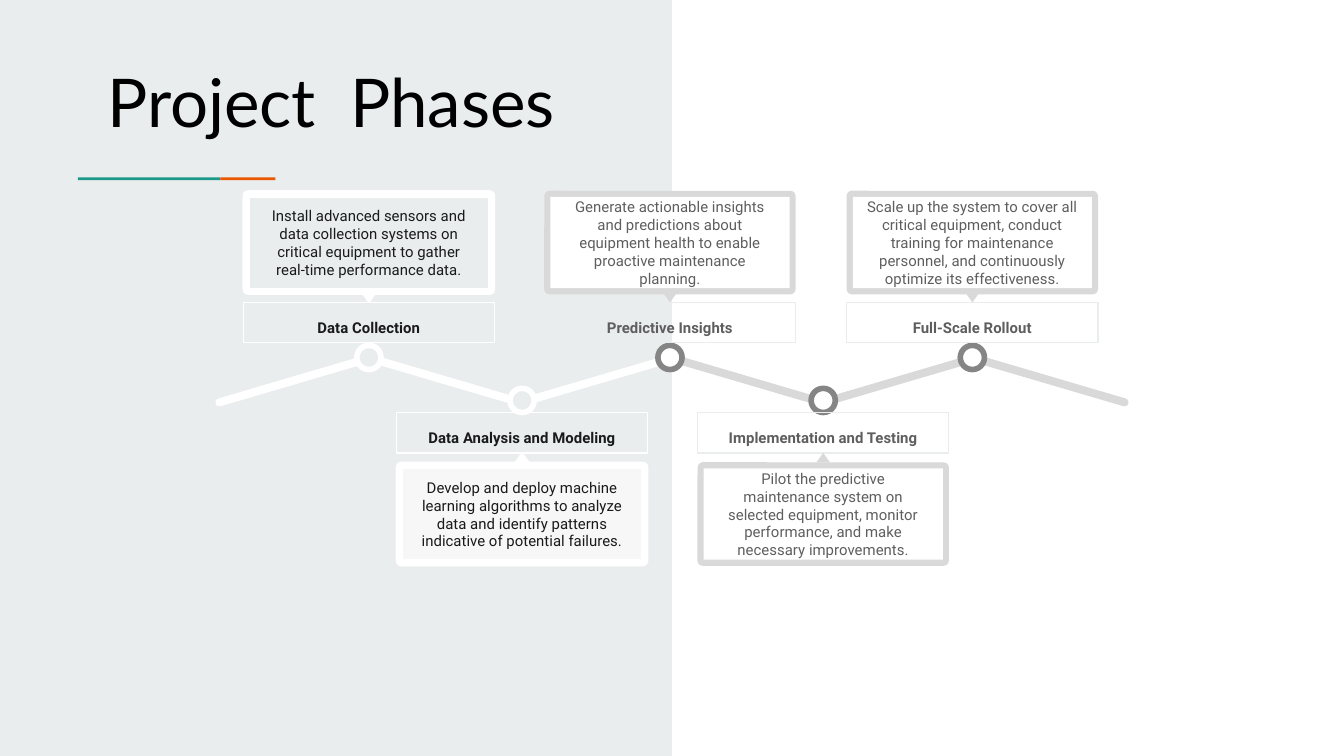
from pptx import Presentation
from pptx.dml.color import RGBColor
from pptx.enum.shapes import MSO_SHAPE
from pptx.enum.text import MSO_ANCHOR, PP_ALIGN
from pptx.util import Inches, Pt

RECT, ROUND = MSO_SHAPE.RECTANGLE, MSO_SHAPE.ROUNDED_RECTANGLE
OVAL, TRIANGLE = MSO_SHAPE.OVAL, MSO_SHAPE.ISOSCELES_TRIANGLE
TOP, MIDDLE = MSO_ANCHOR.TOP, MSO_ANCHOR.MIDDLE
CENTER, LEFT = PP_ALIGN.CENTER, PP_ALIGN.LEFT

WHITE = RGBColor(0xFF, 0xFF, 0xFF)
BLACK = RGBColor(0x00, 0x00, 0x00)
MIST = RGBColor(0xE9, 0xED, 0xEE)
PAPER = RGBColor(0xF7, 0xF7, 0xF8)
SILVER = RGBColor(0xD9, 0xD9, 0xD9)
RING = RGBColor(0x85, 0x85, 0x85)
INK = RGBColor(0x1A, 0x1A, 0x1A)
SLATE = RGBColor(0x5E, 0x5E, 0x5E)
TEAL = RGBColor(0x1A, 0x99, 0x88)
ORANGE = RGBColor(0xEB, 0x56, 0x00)

SLIDE_WIDTH = 10
SLIDE_HEIGHT = SLIDE_WIDTH * 9 / 16
FRAME_WIDTH, FRAME_HEIGHT = 1.87, 0.77
CARD_WIDTH, CARD_HEIGHT = 1.78, 0.68
NODE_SIZE = 0.18
POINTER_WIDTH = 0.1
PATH_START, PATH_LAST = 1.58, 7.2

deck = Presentation()
deck.slide_width, deck.slide_height = Inches(SLIDE_WIDTH), Inches(SLIDE_HEIGHT)
page = deck.slides.add_slide(deck.slide_layouts[6])


def add_block(kind, left, top, width, height, fill=None, line=None, weight=0.75, turn=0):
    shape = page.shapes.add_shape(kind, Inches(left), Inches(top), Inches(width), Inches(height))
    shape.shadow.inherit = False
    shape.rotation = turn
    if fill is None:
        shape.fill.background()
    else:
        shape.fill.solid()
        shape.fill.fore_color.rgb = fill
    if line is None:
        shape.line.fill.background()
    else:
        shape.line.color.rgb = line
        shape.line.width = Pt(weight)
    return shape


def write(box, text, color, anchor, align=CENTER, spacing=1.0, **font_format):
    frame = box.text_frame
    frame_format = {"word_wrap": True, "vertical_anchor": anchor}
    for side in ("left", "right", "top", "bottom"):
        frame_format["margin_" + side] = Inches(0.1)
    for name, value in frame_format.items():
        setattr(frame, name, value)
    para = frame.paragraphs[0]
    para.alignment = align
    para.line_spacing = spacing
    span = para.add_run()
    span.text = text
    span.font.color.rgb = color
    for name, value in ({"name": "Roboto", "size": Pt(8)} | font_format).items():
        setattr(span.font, name, value)


# Left half and the accent rule under the title
add_block(RECT, 0, 0, SLIDE_WIDTH / 2, SLIDE_HEIGHT, MIST)
add_block(RECT, 0.58, 1.32, 1.06, 0.02, TEAL)
add_block(RECT, 1.64, 1.32, 0.41, 0.02, ORANGE)

# Zigzag path: six segments, white on the left half and grey on the right
for step in reversed(range(6)):
    segment = add_block(ROUND, PATH_START + step * (PATH_LAST - PATH_START) / 5, 2.8,
                        1.22, 0.06, WHITE if step < 3 else SILVER,
                        turn=16.4 if step % 2 else 343.6)
    segment.adjustments[0] = 0.5

# Left edge, name, description, card fill, whether the phase is on the tinted half
phases = [
    (1.81, "Data Collection",
     "Install advanced sensors and data collection systems on critical equipment "
     "to gather real-time performance data.", MIST, True),
    (2.95, "Data Analysis and Modeling",
     "Develop and deploy machine learning algorithms to analyze data and identify "
     "patterns indicative of potential failures.", PAPER, True),
    (4.05, "Predictive Insights",
     "Generate actionable insights and predictions about equipment health to enable "
     "proactive maintenance planning.", WHITE, False),
    (5.19, "Implementation and Testing",
     "Pilot the predictive maintenance system on selected equipment, monitor "
     "performance, and make necessary improvements.", WHITE, False),
    (6.3, "Full-Scale Rollout",
     "Scale up the system to cover all critical equipment, conduct training for "
     "maintenance personnel, and continuously optimize its effectiveness.", WHITE, False),
]

for index, (left, name, description, card_fill, tinted) in enumerate(phases):
    above = index % 2 == 0
    label_top, frame_top, pointer_top, node_top = (
        (2.25, 1.42, 2.18, 2.57) if above else (3.07, 3.44, 3.37, 2.89))
    text_color = INK if tinted else SLATE
    frame_fill = WHITE if tinted else SILVER
    outline = WHITE if tinted else None
    node = (OVAL, left + (FRAME_WIDTH - NODE_SIZE) / 2, node_top, NODE_SIZE, NODE_SIZE,
            MIST if tinted else WHITE, WHITE if tinted else RING, 3, 330.2)

    if not tinted:
        add_block(*node)
    label = add_block(RECT, left, label_top, FRAME_WIDTH, 0.3, line=WHITE if tinted else MIST)
    write(label, name, text_color, TOP, spacing=1.15, bold=True)
    border = add_block(ROUND, left, frame_top, FRAME_WIDTH, FRAME_HEIGHT, frame_fill, outline)
    border.adjustments[0] = 0.05
    add_block(TRIANGLE, left + (FRAME_WIDTH - POINTER_WIDTH) / 2, pointer_top,
              POINTER_WIDTH, 0.07, frame_fill, outline, turn=180 if above else 0)
    card = add_block(RECT, left + (FRAME_WIDTH - CARD_WIDTH) / 2,
                     frame_top + (FRAME_HEIGHT - CARD_HEIGHT) / 2,
                     CARD_WIDTH, CARD_HEIGHT, card_fill, outline)
    write(card, description, text_color, MIDDLE)
    if tinted:
        add_block(*node)

title = page.shapes.add_textbox(Inches(0.7), Inches(0.35), Inches(3.75), Inches(0.85))
write(title, "Project  Phases", BLACK, TOP, LEFT, name="Lato", size=Pt(36))

deck.save("out.pptx")
